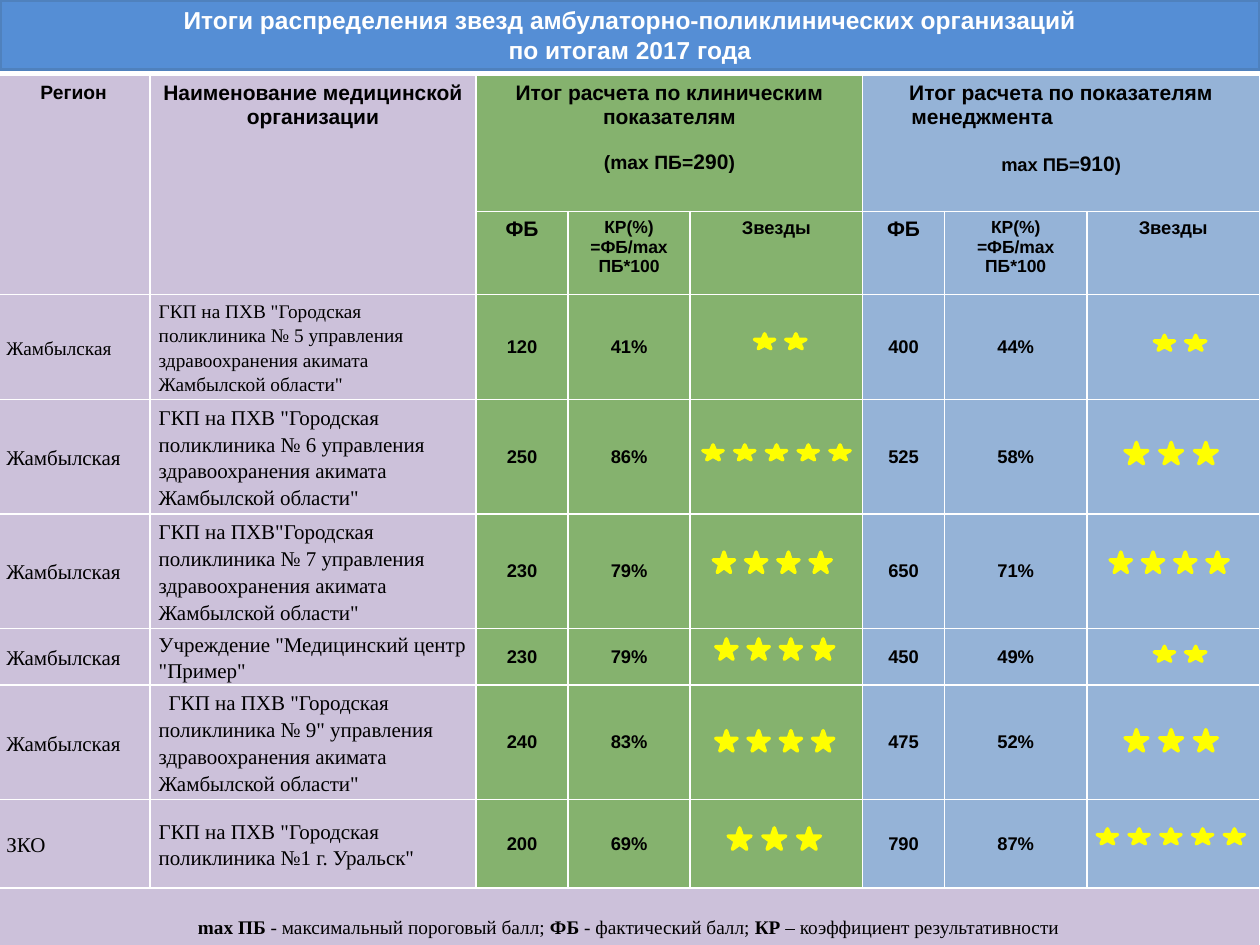
"""Build the slide with the 2017 star ratings of outpatient clinics."""
from dataclasses import dataclass

import lxml.etree
import pptx
import pptx.dml.color
import pptx.enum.shapes
import pptx.enum.text
import pptx.oxml.ns
import pptx.util

Cm = pptx.util.Cm
Pt = pptx.util.Pt
RGBColor = pptx.dml.color.RGBColor
CENTER = pptx.enum.text.PP_ALIGN.CENTER
LEFT = pptx.enum.text.PP_ALIGN.LEFT
MIDDLE = pptx.enum.text.MSO_ANCHOR.MIDDLE
TOP = pptx.enum.text.MSO_ANCHOR.TOP

WHITE = RGBColor(0xFF, 0xFF, 0xFF)
BLACK = RGBColor(0, 0, 0)
YELLOW = RGBColor(0xFF, 0xFF, 0x00)
TITLE_FILL = RGBColor(0x55, 0x8E, 0xD5)
TITLE_LINE = RGBColor(0x4F, 0x81, 0xBD)
LILAC = RGBColor(0xCC, 0xC1, 0xDA)
GREEN = RGBColor(0x85, 0xB2, 0x6E)
BLUE = RGBColor(0x95, 0xB3, 0xD7)

SANS = "Arial"
SERIF = "Times New Roman"
COLUMN_WIDTHS = (3.07, 6.58, 1.85, 2.46, 3.48, 1.65, 2.87, 3.48)
ROW_HEIGHTS = (2.74, 1.68, 2.11, 2.31, 2.31, 1.14, 2.31, 1.78, 1.55)
COLUMN_FILLS = (LILAC,) * 2 + (GREEN,) * 3 + (BLUE,) * 3
FOOTER_ROW = len(ROW_HEIGHTS) - 1


@dataclass
class Span:
    text: str
    size: float
    font: str = SANS
    bold: bool = True
    color: RGBColor = BLACK


@dataclass
class Para:
    spans: list[Span]
    align: int = CENTER
    before: float = 0
    spacing: float = 1.0
    right_margin: float = 0
    indent: float = 0


@dataclass
class StarRow:
    left: float
    top: float
    count: int


@dataclass
class StarStyle:
    width: float
    height: float
    pitch: float


@dataclass
class Clinic:
    region: str
    name: str
    clinical: tuple[str, str]
    management: tuple[str, str]
    stars: tuple[StarRow, StarRow]
    size: float = 12
    indent: float = 0


STAR_STYLES = {
    2: StarStyle(0.41, 0.3, 0.63),
    3: StarStyle(0.46, 0.43, 0.7),
    4: StarStyle(0.43, 0.41, 0.65),
    5: StarStyle(0.41, 0.3, 0.64),
}

CLINICS = [
    Clinic("Жамбылская", 'ГКП на ПХВ "Городская поликлиника № 5 управления здравоохранения акимата Жамбылской области"',
           ("120", "41%"), ("400", "44%"), (StarRow(15.21, 6.73, 2), StarRow(23.27, 6.76, 2)), size=11),
    Clinic("Жамбылская", 'ГКП на ПХВ "Городская поликлиника № 6 управления здравоохранения акимата Жамбылской области"',
           ("250", "86%"), ("525", "58%"), (StarRow(14.17, 8.97, 5), StarRow(22.68, 8.92, 3))),
    Clinic("Жамбылская", 'ГКП на ПХВ"Городская поликлиника № 7 управления здравоохранения акимата Жамбылской области"',
           ("230", "79%"), ("650", "71%"), (StarRow(14.38, 11.13, 4), StarRow(22.38, 11.13, 4))),
    Clinic("Жамбылская", 'Учреждение "Медицинский центр "Пример"',
           ("230", "79%"), ("450", "49%"), (StarRow(14.43, 12.88, 4), StarRow(23.27, 13.03, 2))),
    Clinic("Жамбылская", 'ГКП на ПХВ "Городская поликлиника № 9" управления здравоохранения акимата Жамбылской области"',
           ("240", "83%"), ("475", "52%"), (StarRow(14.43, 14.73, 4), StarRow(22.68, 14.71, 3)), indent=0.2),
    Clinic("ЗКО", 'ГКП на ПХВ "Городская поликлиника №1 г. Уральск"',
           ("200", "69%"), ("790", "87%"), (StarRow(14.68, 16.69, 3), StarRow(22.12, 16.71, 5))),
]


def add_span(para, item: Span) -> None:
    span = para.add_run()
    span.text = item.text
    span.font.size = Pt(item.size)
    span.font.name = item.font
    span.font.bold = item.bold
    span.font.color.rgb = item.color


def write_cell(cell, items: list[Para], anchor=TOP, side: float = 0.25, edge: float = 0.13) -> None:
    cell.vertical_anchor = anchor
    cell.margin_left = cell.margin_right = Cm(side)
    cell.margin_top = cell.margin_bottom = Cm(edge)
    for index, item in enumerate(items):
        frame = cell.text_frame
        para = frame.add_paragraph() if index else frame.paragraphs[0]
        para.alignment = item.align
        para.line_spacing = item.spacing
        para.space_before = Pt(item.before)
        properties = para._p.get_or_add_pPr()
        properties.set("marR", str(Cm(item.right_margin)))
        properties.set("indent", str(Cm(item.indent)))
        for span in item.spans:
            add_span(para, span)


def style_cell(cell, fill: RGBColor) -> None:
    properties = cell._tc.get_or_add_tcPr()
    qn = pptx.oxml.ns.qn
    for side in ("lnL", "lnR", "lnT", "lnB"):
        line = lxml.etree.SubElement(properties, qn(f"a:{side}"), w=str(Pt(1)))
        solid = lxml.etree.SubElement(line, qn("a:solidFill"))
        lxml.etree.SubElement(solid, qn("a:srgbClr"), val=str(WHITE))
    cell.fill.solid()
    cell.fill.fore_color.rgb = fill


def add_title(slide) -> None:
    box = slide.shapes.title
    box.left, box.top, box.width, box.height = Cm(0), Cm(0), Cm(25.4), Cm(1.4)
    box.fill.solid()
    box.fill.fore_color.rgb = TITLE_FILL
    box.line.color.rgb = TITLE_LINE
    box.line.width = Pt(2)
    frame = box.text_frame
    frame.auto_size = pptx.enum.text.MSO_AUTO_SIZE.NONE
    frame.vertical_anchor = MIDDLE
    frame.margin_top = frame.margin_bottom = Cm(0)
    para = frame.paragraphs[0]
    para.alignment = CENTER
    para.line_spacing = 1.0
    add_span(para, Span("Итоги распределения звезд амбулаторно-поликлинических организаций", 14, color=WHITE))
    para.add_line_break()
    add_span(para, Span("по итогам 2017 года", 14, color=WHITE))


def fill_header(table) -> None:
    for column in (0, 1):
        table.cell(0, column).merge(table.cell(1, column))
    for column in (2, 5):
        table.cell(0, column).merge(table.cell(0, column + 2))
    write_cell(table.cell(0, 0), [Para([Span("Регион", 11)])])
    write_cell(table.cell(0, 1), [Para([Span("Наименование медицинской организации", 12)])])
    write_cell(table.cell(0, 2), [
        Para([Span("Итог расчета по клиническим показателям", 12)]),
        Para([Span("(mах ПБ=", 11), Span("290", 12), Span(")", 11)], before=12.5)])
    write_cell(table.cell(0, 5), [
        Para([Span("Итог расчета по показателям", 12)]),
        Para([Span("менеджмента", 12)], right_margin=3.18),
        Para([Span("mах ПБ=", 10.5), Span("910", 12), Span(")", 10.5)], before=13.5)])
    for column in (2, 5):
        write_cell(table.cell(1, column), [Para([Span("ФБ", 12)])])
        write_cell(table.cell(1, column + 1), [
            Para([Span("КР(%)", 10)]), Para([Span("=ФБ/mах ПБ*100", 10)])])
        write_cell(table.cell(1, column + 2), [Para([Span("Звезды", 10.5)])])


def fill_clinic(table, row: int, clinic: Clinic) -> None:
    for column, text, indent in ((0, clinic.region, 0), (1, clinic.name, clinic.indent)):
        item = Para([Span(text, clinic.size, SERIF, False)], LEFT, spacing=1.15, indent=indent)
        write_cell(table.cell(row, column), [item], MIDDLE, 0.18, 0)
    for start, values in ((2, clinic.clinical), (5, clinic.management)):
        for column, value in enumerate(values, start):
            write_cell(table.cell(row, column), [Para([Span(value, 10.5)])], MIDDLE, 0, 0)


def fill_footer(table) -> None:
    table.cell(FOOTER_ROW, 0).merge(table.cell(FOOTER_ROW, len(COLUMN_WIDTHS) - 1))
    terms = (("mах ПБ ", "- максимальный пороговый балл; "), ("ФБ", " - фактический балл; "),
             ("КР", " – коэффициент результативности"))
    spans = [Span(text, 11, SERIF, bold) for term in terms for text, bold in zip(term, (True, False))]
    write_cell(table.cell(FOOTER_ROW, 0), [Para(spans, spacing=1.15)], MIDDLE, 0.18, 0)


def add_ratings(slide) -> None:
    frame = slide.shapes.add_table(len(ROW_HEIGHTS), len(COLUMN_WIDTHS), Cm(-0.05), Cm(1.52),
                                   Cm(sum(COLUMN_WIDTHS)), Cm(sum(ROW_HEIGHTS)))
    table = frame.table
    for column, width in zip(table.columns, COLUMN_WIDTHS):
        column.width = Cm(width)
    for index, (row, height) in enumerate(zip(table.rows, ROW_HEIGHTS)):
        row.height = Cm(height)
        for cell, fill in zip(row.cells, COLUMN_FILLS):
            style_cell(cell, LILAC if index == FOOTER_ROW else fill)
    fill_header(table)
    for row, clinic in enumerate(CLINICS, 2):
        fill_clinic(table, row, clinic)
    fill_footer(table)


def add_stars(slide, stars: StarRow) -> None:
    style = STAR_STYLES[stars.count]
    group = slide.shapes.add_group_shape()
    for index in range(stars.count):
        star = group.shapes.add_shape(
            pptx.enum.shapes.MSO_SHAPE.STAR_5_POINT, Cm(stars.left + index * style.pitch),
            Cm(stars.top), Cm(style.width), Cm(style.height))
        star.shadow.inherit = False
        star.fill.solid()
        star.fill.fore_color.rgb = YELLOW
        star.line.color.rgb = YELLOW
        star.line.width = Pt(2)


def main() -> None:
    deck = pptx.Presentation()
    deck.slide_width, deck.slide_height = Cm(25.4), Cm(19.05)
    slide = deck.slides.add_slide(deck.slide_layouts[5])
    add_title(slide)
    add_ratings(slide)
    for clinic in CLINICS:
        for stars in clinic.stars:
            add_stars(slide, stars)
    deck.save("out.pptx")


if __name__ == "__main__":
    main()
